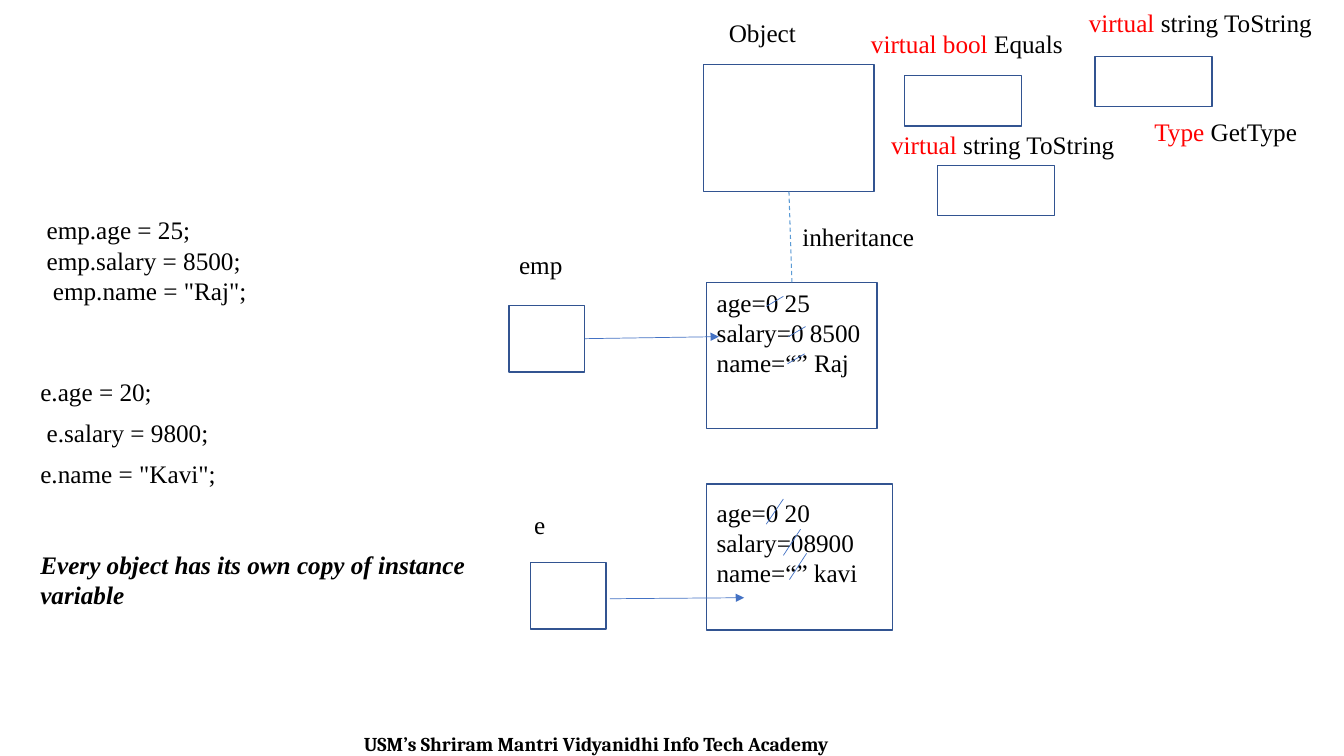
"""Build a slide on objects, instance variables and inheritance."""
from lxml.etree import SubElement
from pptx import Presentation
from pptx.dml.color import RGBColor as Rgb
from pptx.enum.dml import MSO_LINE as Dash
from pptx.enum.shapes import MSO_CONNECTOR as Conn, MSO_SHAPE as Kind
from pptx.enum.text import MSO_ANCHOR as Anchor, MSO_AUTO_SIZE as Auto, PP_ALIGN as Align
from pptx.oxml.ns import qn
from pptx.util import Inches, Pt

HUES = {"ink": "000000", "red": "FF0000", "edge": "325491",
        "link": "4472C4", "dash": "5B9BD5"}
FACE = "Times New Roman"


def style(font, hue="ink", size=18, face=FACE):
    font.name, font.size = face, Pt(size)
    font.color.rgb = Rgb.from_string(HUES[hue])


def draw_line(x1, y1, x2, y2, hue="link", width=0.5):
    line = shapes.add_connector(Conn.STRAIGHT, *map(Inches, (x1, y1, x2, y2)))
    line.line.color.rgb = Rgb.from_string(HUES[hue])
    line.line.width = Pt(width)
    SubElement(line._element.spPr, qn("a:effectLst"))
    return line


deck = Presentation()
deck.slide_width, deck.slide_height = Inches(13.33), Inches(7.5)
slide = deck.slides.add_slide(deck.slide_layouts[1])
shapes = slide.shapes
title = shapes.title._element
title.getparent().remove(title)

foot = shapes.add_textbox(*map(Inches, (1.26, 7.21, 9.31, 0.34))).text_frame
foot.word_wrap = True
para = foot.paragraphs[0]
para.text = "USM’s Shriram Mantri Vidyanidhi Info Tech Academy"
para.alignment = Align.CENTER
style(para.font, size=14, face="Cambria")
para.font.bold = True

body = slide.placeholders[1]
body.left, body.top, body.width, body.height = map(Inches, (0.3, 2.08, 6, 4.5))
frame = body.text_frame
frame.auto_size, frame.vertical_anchor = Auto.NONE, Anchor.TOP
notes = [
    (" emp.age = 25;", 0, 1, False),
    (" emp.salary = 8500;", 0, 1, False),
    ("  emp.name = \"Raj\";", 0, 1, False),
    ("e.age = 20;", 53, 0.9, False),
    (" e.salary = 9800;", 10, 0.9, False),
    ("e.name = \"Kavi\";", 10, 0.9, False),
    ("Every object has its own copy of instance", 43, 1, True),
    ("variable", 0, 1, True),
]
for i, (text, gap, pitch, strong) in enumerate(notes):
    para = frame.add_paragraph() if i else frame.paragraphs[0]
    para.text = text
    props = para._p.get_or_add_pPr()
    props.set("marL", "0")
    props.set("indent", "0")
    SubElement(props, qn("a:buNone"))
    para.space_before, para.space_after = Pt(gap), Pt(0)
    para.line_spacing = pitch
    style(para.font)
    para.font.bold = para.font.italic = strong

rects = {
    "emp": (5.05, 3.03, 0.75, 0.66, 0.05, []),
    "e": (5.26, 5.58, 0.75, 0.66, 0.05, []),
    "raj": (7.01, 2.8, 1.69, 1.45, 0.05, ["age=0 25", "salary=0 8500", "name=“” Raj"]),
    "kavi": (7.01, 4.8, 1.84, 1.45, 0.13, ["age=0 20", "salary=08900", "name=“” kavi"]),
    "base": (6.98, 0.64, 1.69, 1.26, 0.05, []),
    "equals": (8.97, 0.75, 1.16, 0.5, 0.05, []),
    "string": (10.86, 0.56, 1.16, 0.5, 0.05, []),
    "type": (9.3, 1.64, 1.16, 0.5, 0.05, []),
}
boxes = {}
for name, (x, y, w, h, inset, rows) in rects.items():
    box = boxes[name] = shapes.add_shape(Kind.RECTANGLE, *map(Inches, (x, y, w, h)))
    box.shadow.inherit = False
    box.fill.background()
    box.line.color.rgb = Rgb.from_string(HUES["edge"])
    box.line.width = Pt(1)
    if rows:
        frame = box.text_frame
        frame.vertical_anchor, frame.margin_top = Anchor.TOP, Inches(inset)
        frame.text = "\n".join(rows)
        for para in frame.paragraphs:
            para.alignment = Align.LEFT
            style(para.font)

labels = [
    (5.05, 2.42, 0.86, "", "emp"),
    (5.2, 5, 0.5, "", "e"),
    (7.13, 0.12, 1.09, "", "Object"),
    (7.86, 2.15, 1.48, "", "inheritance"),
    (8.54, 0.23, 2.75, "virtual bool", " Equals"),
    (8.74, 1.23, 2.75, "virtual", " string ToString"),
    (10.7, 0.02, 2.75, "virtual", " string ToString"),
    (11.35, 1.11, 1.62, "Type", " GetType"),
]
for x, y, w, key, rest in labels:
    frame = shapes.add_textbox(*map(Inches, (x, y, w, 0.4))).text_frame
    frame.word_wrap = True
    para = frame.paragraphs[0]
    for text, hue in ((key, "red"), (rest, "ink")):
        if text:
            run = para.add_run()
            run.text = text
            style(run.font, hue)

heir = draw_line(7.82, 1.9, 7.86, 2.8, "dash", 0.75)
heir.line.dash_style = Dash.DASH
heir.begin_connect(boxes["base"], 2)
heir.end_connect(boxes["raj"], 0)

strikes = [(7.6, 3.04, 0.1), (7.82, 3.34, 0.1), (7.81, 3.61, 0.1),
           (7.6, 5.2, 0.25), (7.77, 5.51, 0.26), (7.83, 5.75, 0.26)]
for x, y, rise in strikes:
    draw_line(x, y, x + 0.17, y - rise)

arrows = [draw_line(x, y, x + 1.33, y - 0.01) for x, y in ((5.8, 3.35), (6.05, 5.94))]
for arrow in arrows:
    SubElement(arrow.line._get_or_add_ln(), qn("a:tailEnd"), type="triangle")
arrows[0].begin_connect(boxes["emp"], 3)

deck.save("out.pptx")
